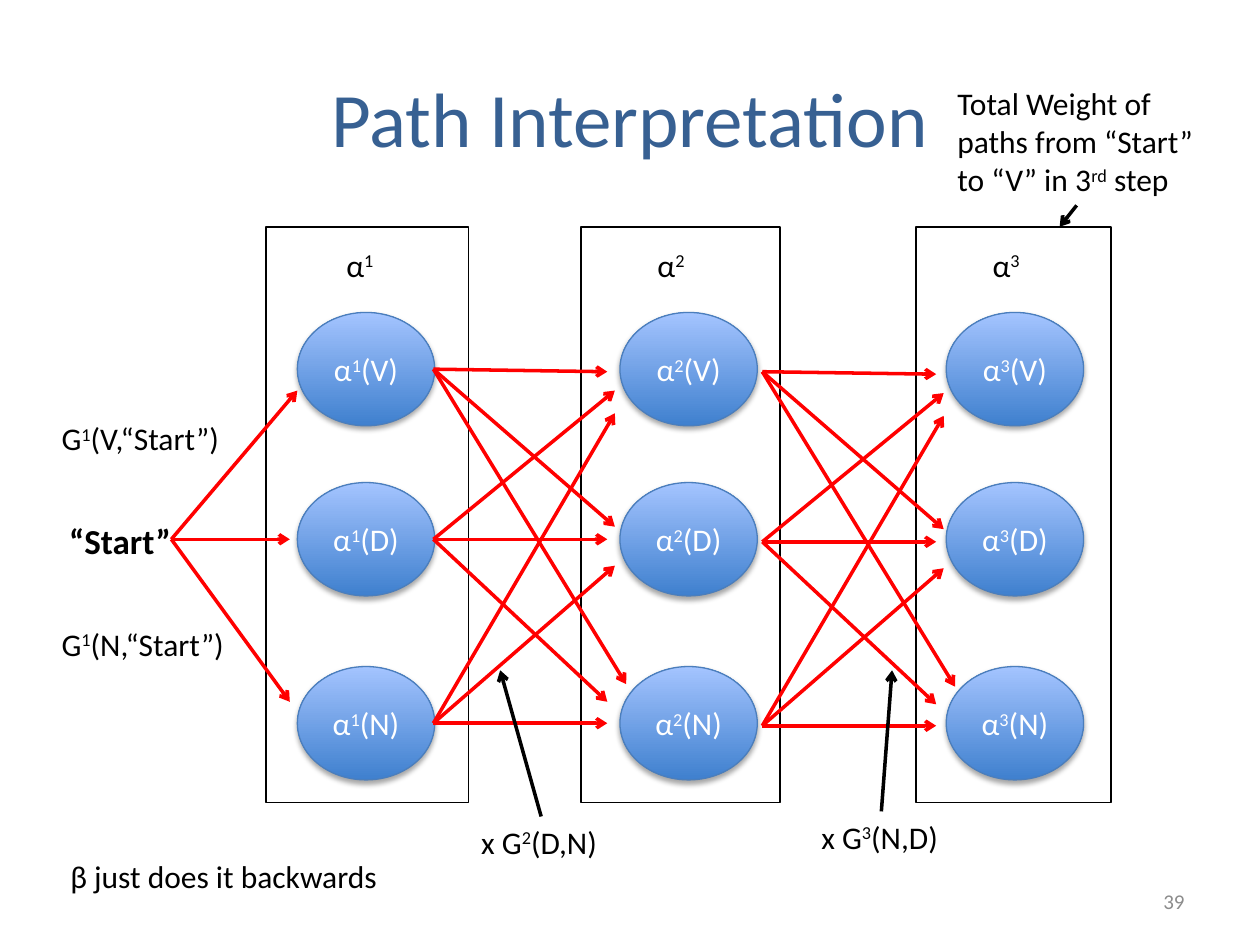
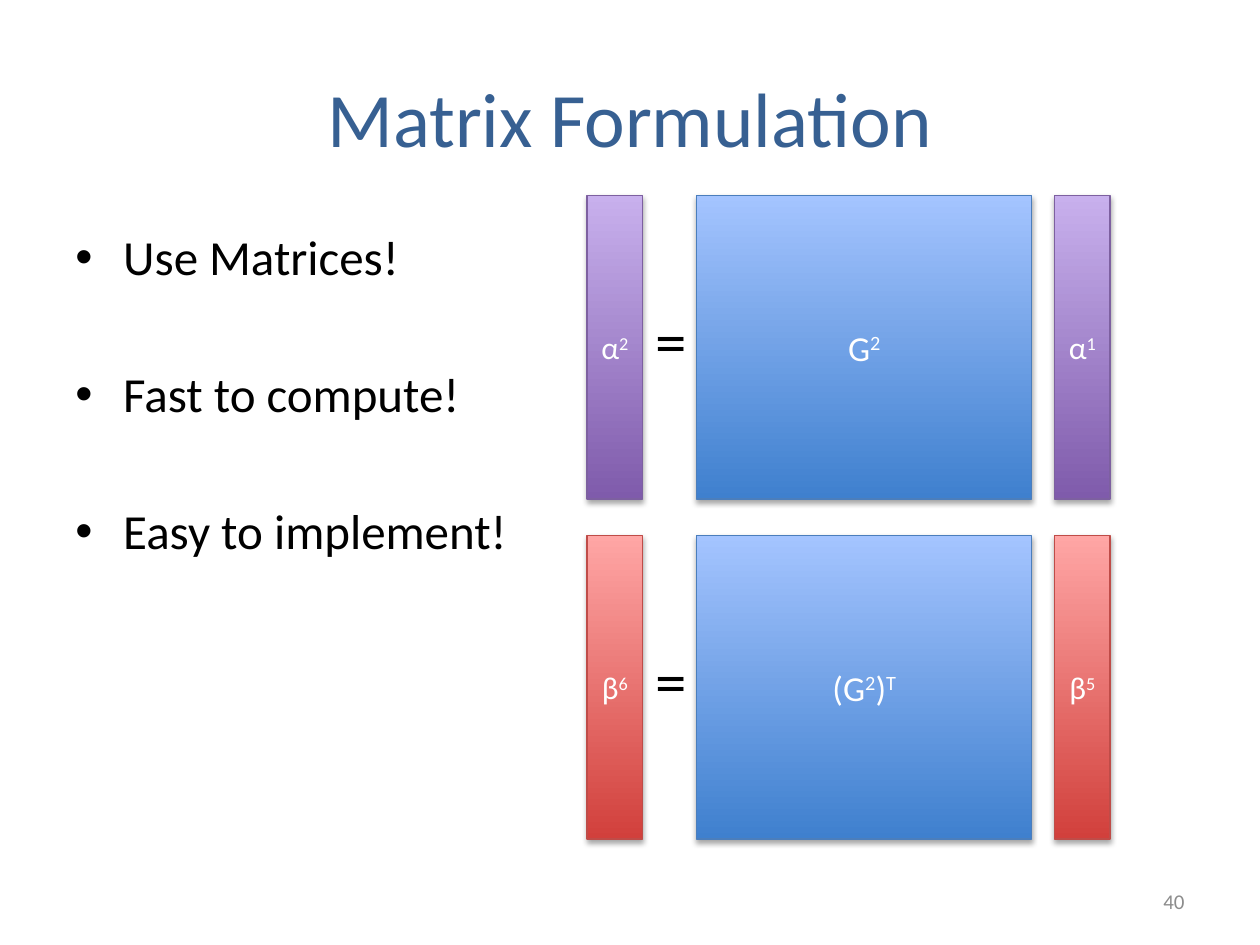
import lxml.etree
import pptx
import pptx.dml.color
import pptx.enum.shapes
import pptx.enum.text
import pptx.oxml.ns
import pptx.util

Inches = pptx.util.Inches
Pt = pptx.util.Pt
RGBColor = pptx.dml.color.RGBColor
Align = pptx.enum.text.PP_ALIGN
Anchor = pptx.enum.text.MSO_ANCHOR
Shape = pptx.enum.shapes.MSO_SHAPE
qn = pptx.oxml.ns.qn

FONT = "Calibri"
BLACK = RGBColor(0x00, 0x00, 0x00)
WHITE = RGBColor(0xFF, 0xFF, 0xFF)
RED = RGBColor(0xFF, 0x00, 0x00)
TITLE_BLUE = RGBColor(0x37, 0x60, 0x92)
NUMBER_GRAY = RGBColor(0x8C, 0x8C, 0x8C)
BLUE = (RGBColor(0x3F, 0x80, 0xCE), RGBColor(0xA4, 0xC4, 0xFF), RGBColor(0x4B, 0x7E, 0xBC))
PURPLE = (RGBColor(0x7F, 0x5B, 0xAB), RGBColor(0xC8, 0xB0, 0xED), RGBColor(0x7D, 0x60, 0xA0))
CORAL = (RGBColor(0xD1, 0x40, 0x3C), RGBColor(0xFF, 0xA6, 0xA5), RGBColor(0xBF, 0x4C, 0x48))

STATE_ROWS = {"V": 2.48, "D": 3.83, "N": 5.29}
STATE_COLUMNS = [2.36, 4.92, 7.51]
STATE_SIZE = (1.09, 0.9)
STEP_FRAMES = [(2.11, 1.61, 2.65), (4.61, 1.58, 5.12), (7.27, 1.55, 7.78)]
TRANSITION_TARGETS = {
    "V": [(4.82, 2.95), (4.88, 4.18), (4.97, 5.43)],
    "D": [(4.88, 3.1), (4.82, 4.28), (4.82, 5.57)],
    "N": [(4.88, 3.28), (4.88, 4.49), (4.82, 5.74)],
}
TRANSITION_SHIFTS = [(0, 0), (2.61, 0.02)]
START_POINT = (1.36, 4.28)
START_TARGETS = [(2.36, 3.1), (2.3, 4.28), (2.3, 5.57)]


def write(shape, text, size=18, color=BLACK, bold=False, align=Align.LEFT,
          anchor=Anchor.TOP, wrap=True, bullet=False, gap=0):
    """Fill a shape with text: one paragraph a line, superscripts between carets."""
    frame = shape.text_frame
    frame.word_wrap = wrap
    frame.vertical_anchor = anchor
    for index, line in enumerate(text.split("\n")):
        para = frame.add_paragraph() if index else frame.paragraphs[0]
        para.alignment = align
        if index and gap:
            para.space_before = Pt(gap)
        if bullet:
            add_bullet(para)
        for position, part in enumerate(line.split("^")):
            if not part:
                continue
            span = para.add_run()
            span.text = part
            span.font.name = FONT
            span.font.size = Pt(size)
            span.font.bold = bold
            span.font.color.rgb = color
            if position % 2:
                span.font._element.set("baseline", "30000")


def add_bullet(para):
    """Give a paragraph a hanging round bullet."""
    properties = para._p.get_or_add_pPr()
    properties.set("marL", str(Inches(0.38)))
    properties.set("indent", str(Inches(-0.38)))
    lxml.etree.SubElement(properties, qn("a:buFont"), typeface="Arial")
    lxml.etree.SubElement(properties, qn("a:buChar"), char="•")


def add_label(page, left, top, width, height, text, wrap=False, **style):
    """Add a text box, which fits its text unless it wraps."""
    box = page.shapes.add_textbox(Inches(left), Inches(top), Inches(width), Inches(height))
    write(box, text, wrap=wrap, **style)
    if not wrap:
        box.text_frame.auto_size = pptx.enum.text.MSO_AUTO_SIZE.SHAPE_TO_FIT_TEXT
    return box


def add_frame(page, left, top, width, height):
    """Add an unfilled rectangle with a thin black outline."""
    frame = page.shapes.add_shape(Shape.RECTANGLE, Inches(left), Inches(top),
                                  Inches(width), Inches(height))
    frame.shadow.inherit = False
    frame.fill.background()
    frame.line.color.rgb = BLACK
    frame.line.width = Pt(1)


def add_block(page, kind, left, top, width, height, text, palette, size=18):
    """Add a shaded shape with a soft shadow and centred white text."""
    dark, light, edge = palette
    block = page.shapes.add_shape(kind, Inches(left), Inches(top),
                                  Inches(width), Inches(height))
    block.fill.gradient()
    block.fill.gradient_angle = 90
    for stop, color in zip(block.fill.gradient_stops, (dark, light)):
        stop.color.rgb = color
    block.line.color.rgb = edge
    block.line.width = Pt(0.75)
    block.shadow.inherit = False
    effects = block._element.spPr.find(qn("a:effectLst"))
    shadow = lxml.etree.SubElement(effects, qn("a:outerShdw"), blurRad=str(Pt(3.1)),
                                   dist=str(Pt(1.8)), dir="5400000", rotWithShape="0")
    shade = lxml.etree.SubElement(shadow, qn("a:srgbClr"), val="000000")
    lxml.etree.SubElement(shade, qn("a:alpha"), val="35000")
    write(block, text, size=size, color=WHITE, align=Align.CENTER, anchor=Anchor.MIDDLE)


def add_arrow(page, start, end, color=RED):
    """Add a straight arrow between two points."""
    points = [Inches(length) for length in (*start, *end)]
    arrow = page.shapes.add_connector(pptx.enum.shapes.MSO_CONNECTOR.STRAIGHT, *points)
    arrow.line.color.rgb = color
    arrow.line.width = Pt(2)
    lxml.etree.SubElement(arrow.line._get_or_add_ln(), qn("a:tailEnd"), type="arrow")
    lxml.etree.SubElement(arrow._element.spPr, qn("a:effectLst"))
    return arrow


def add_callout(page, left, top, width, height, text, side, target):
    """Add a label with a black arrow from the middle of one side to a target."""
    label = add_label(page, left, top, width, height, text)
    arrow = add_arrow(page, (left + width / 2, top), target, color=BLACK)
    arrow.begin_connect(label, side)


def add_page(deck, title, number):
    """Add a slide with its title and slide number."""
    page = deck.slides.add_slide(deck.slide_layouts[5])
    heading = page.shapes.title
    heading.left, heading.top = Inches(0.5), Inches(0.3)
    heading.width, heading.height = Inches(9), Inches(1.25)
    write(heading, title, size=44, color=TITLE_BLUE, align=Align.CENTER, anchor=Anchor.MIDDLE)
    add_label(page, 7.17, 6.95, 2.33, 0.4, str(number), wrap=True, size=12,
              color=NUMBER_GRAY, align=Align.RIGHT, anchor=Anchor.MIDDLE)
    return page


def build_paths(deck):
    """Build the slide of weighted paths through three steps."""
    page = add_page(deck, "Path Interpretation", 39)
    for step, (left, width, label_left) in enumerate(STEP_FRAMES, 1):
        add_frame(page, left, 1.8, width, 4.57)
        add_label(page, label_left, 1.9, 0.43, 0.4, f"α^{step}^")
    for step, left in enumerate(STATE_COLUMNS, 1):
        for state, top in STATE_ROWS.items():
            add_block(page, Shape.OVAL, left, top, *STATE_SIZE, f"α^{step}^({state})", BLUE)
    for across, down in TRANSITION_SHIFTS:
        for state, targets in TRANSITION_TARGETS.items():
            start = (3.44 + across, STATE_ROWS[state] + 0.45 + down)
            for x, y in targets:
                add_arrow(page, start, (x + across, y + down))
    for target in START_TARGETS:
        add_arrow(page, START_POINT, target)
    add_label(page, 0.45, 4.07, 1.01, 0.44, "“Start”", size=20, bold=True)
    add_label(page, 0.39, 3.28, 1.51, 0.4, "G^1^(V,“Start”)")
    add_label(page, 0.39, 4.91, 1.53, 0.4, "G^1^(N,“Start”)")
    add_callout(page, 3.72, 6.48, 1.15, 0.4, "x G^2^(D,N)", 0, (3.97, 5.32))
    add_callout(page, 6.42, 6.44, 1.15, 0.4, "x G^3^(N,D)", 0, (7.08, 5.32))
    add_callout(page, 7.5, 0.62, 2.09, 1.01,
                "Total Weight of\npaths from “Start”\nto “V” in 3^rd^ step", 2, (8.41, 1.8))
    add_label(page, 0.46, 6.75, 2.67, 0.4, "β just does it backwards")


def add_equation(page, top, result, matrix, vector, palette):
    """Add a row that shows a vector as a matrix times a vector."""
    height = 2.41
    add_block(page, Shape.RECTANGLE, 4.66, top, 0.44, height, result, palette)
    add_label(page, 5.1, top + 0.79, 0.45, 0.71, "=", size=36)
    add_block(page, Shape.RECTANGLE, 5.53, top, 2.66, height, matrix, BLUE, size=20)
    add_block(page, Shape.RECTANGLE, 8.37, top, 0.44, height, vector, palette)


def build_matrices(deck):
    """Build the slide of the two matrix equations."""
    page = add_page(deck, "Matrix Formulation", 40)
    add_equation(page, 1.55, "α^2^", "G^2^", "α^1^", PURPLE)
    add_equation(page, 4.25, "β^6^", "(G^2^)^T^", "β^5^", CORAL)
    add_label(page, 0.5, 1.75, 9, 4.95, "Use Matrices!\nFast to compute!\nEasy to implement!",
              wrap=True, size=28, bullet=True, gap=44.7)


def main():
    """Build and save the deck."""
    deck = pptx.Presentation()
    deck.slide_width, deck.slide_height = Inches(10), Inches(7.5)
    build_paths(deck)
    build_matrices(deck)
    deck.save("out.pptx")


if __name__ == "__main__":
    main()
